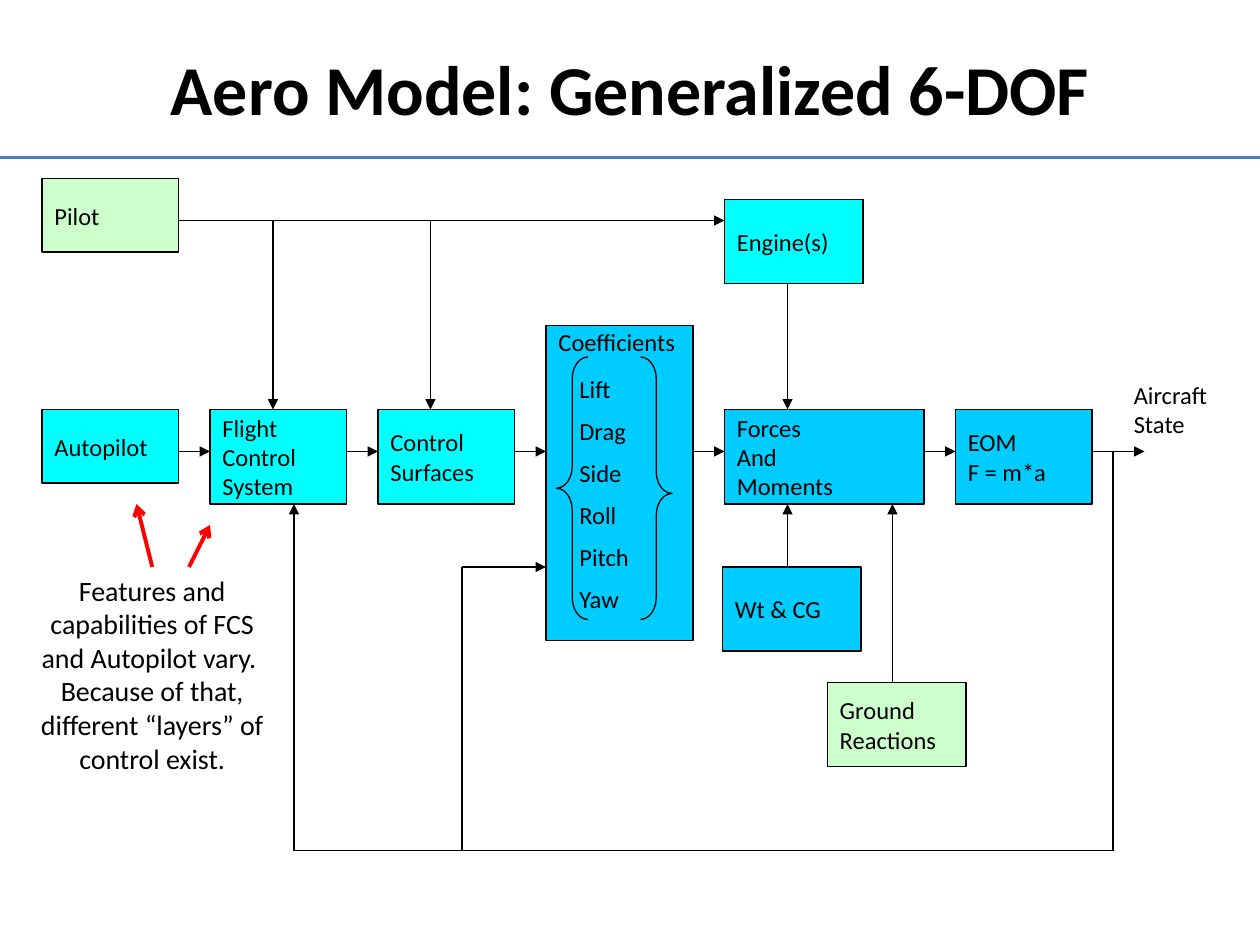
from dataclasses import dataclass

from lxml.etree import SubElement
from pptx import Presentation
from pptx.dml.color import RGBColor
from pptx.enum.shapes import MSO_CONNECTOR as Line, MSO_SHAPE as Preset
from pptx.enum.text import MSO_ANCHOR as Anchor, MSO_AUTO_SIZE as AutoSize, PP_ALIGN as Align
from pptx.oxml.ns import qn
from pptx.util import Cm, Pt


@dataclass(frozen=True)
class Theme:
    """Colours, type sizes and line widths of the slide."""
    font: str = "Calibri"
    ink: str = "000000"
    rule: str = "4B7EBC"
    accent: str = "FF0000"
    external: str = "CCFFCC"
    control: str = "00FFFF"
    physics: str = "00CCFF"
    title_size: int = 40
    note_size: int = 16
    label_size: int = 14
    thin: float = 0.75
    thick: float = 2.25


@dataclass(frozen=True)
class Box:
    """A region measured in grid cells."""
    x: float
    y: float
    w: float
    h: float

    def inner(self, x, y, w, h):
        """Return a box placed relative to this one."""
        return Box(self.x + x, self.y + y, w, h)

    def frame(self):
        """Return left, top, width and height as lengths."""
        return [cells(n) for n in (self.x, self.y, self.w, self.h)]


THEME = Theme()
CELLS_PER_INCH = 12


def cells(count):
    """Convert grid cells to a length."""
    return Cm(count * 2.54 / CELLS_PER_INCH)


def rgb(colour):
    """Convert a hex string to a colour."""
    return RGBColor.from_string(colour)


def write(shape, lines, size=THEME.label_size, bold=False, align=Align.LEFT, wrap=False):
    """Write one paragraph per line, centred vertically."""
    frame = shape.text_frame
    frame.word_wrap = wrap
    frame.vertical_anchor = Anchor.MIDDLE
    for index, line in enumerate(lines):
        paragraph = frame.add_paragraph() if index else frame.paragraphs[0]
        paragraph.alignment = align
        run = paragraph.add_run()
        run.text = line
        run.font.name = THEME.font
        run.font.size = Pt(size)
        run.font.bold = bold
        run.font.color.rgb = rgb(THEME.ink)


def label(slide, box, *lines, **style):
    """Add a text box."""
    caption = slide.shapes.add_textbox(*box.frame())
    write(caption, lines, **style)
    return caption


def outline(slide, preset, box):
    """Add an unfilled preset shape with a thin line."""
    shape = slide.shapes.add_shape(preset, *box.frame())
    shape.shadow.inherit = False
    shape.fill.background()
    shape.line.color.rgb = rgb(THEME.ink)
    shape.line.width = Pt(THEME.thin)
    return shape


def block(slide, box, fill, *lines):
    """Add a filled diagram block with its name."""
    shape = outline(slide, Preset.RECTANGLE, box)
    shape.fill.solid()
    shape.fill.fore_color.rgb = rgb(fill)
    write(shape, lines)


def connect(slide, box, start, end, head="triangle", colour=THEME.ink, width=THEME.thin):
    """Draw a line between two points of a box, with an optional arrowhead."""
    points = [cells(n) for x, y in (start, end) for n in (box.x + x, box.y + y)]
    line = slide.shapes.add_connector(Line.STRAIGHT, *points)
    line.line.color.rgb = rgb(colour)
    line.line.width = Pt(width)
    properties = line._element.spPr
    if head:
        SubElement(properties.find(qn("a:ln")), qn("a:tailEnd"), type=head)
    SubElement(properties, qn("a:effectLst"))


def header(slide, box):
    """Place the title and the rule beneath it."""
    connect(slide, box, (0, box.h), (box.w, box.h), None, THEME.rule, THEME.thick)
    label(slide, box.inner(6, 3.6, box.w - 12, 9.4), "Aero Model: Generalized 6-DOF",
          size=THEME.title_size, bold=True, align=Align.CENTER, wrap=True)


def coefficients(slide, box):
    """Place the coefficient block with its braced list."""
    block(slide, box.inner(0, 1, box.w, box.h - 1), THEME.physics)
    label(slide, box.inner(0, 0, box.w, 5), "Coefficients")
    for preset, x, middle in ((Preset.LEFT_BRACE, 1, 0.5), (Preset.RIGHT_BRACE, 9, 0.52)):
        brace = outline(slide, preset, box.inner(x, 4, 3, 25))
        brace.adjustments[0] = 0.69
        brace.adjustments[1] = middle
    for row, name in enumerate(("Lift", "Drag", "Side", "Roll", "Pitch", "Yaw")):
        label(slide, box.inner(2, 5 + 4 * row, 9, 4), name)


def pilot_inputs(slide, box):
    """Place pilot and engines with the arrows down to the main chain."""
    block(slide, box.inner(0, 0, 13, 7), THEME.external, "Pilot")
    block(slide, box.inner(65, 2, 13.2, 8), THEME.control, "Engine(s)")
    connect(slide, box, (13, 4), (65, 4))
    for x, y in ((22, 4), (37, 4), (71, 10)):
        connect(slide, box, (x, y), (x, box.h))


def main_chain(slide, box):
    """Place the row from autopilot to aircraft state."""
    stages = (
        (0, 13, 7, THEME.control, ("Autopilot",)),
        (16, 13, 9, THEME.control, ("Flight", "Control", "System")),
        (32, 13, 9, THEME.control, ("Control", "Surfaces")),
        (65, 19, 9, THEME.physics, ("Forces", "And", "Moments")),
        (87, 13, 9, THEME.physics, ("EOM", "F = m*a")),
    )
    for x, width, height, fill, lines in stages:
        block(slide, box.inner(x, 0, width, height), fill, *lines)
    for start, end in ((13, 16), (29, 32), (45, 48), (62, 65), (84, 87), (100, 105)):
        connect(slide, box, (start, 4), (end, 4))
    label(slide, box.inner(102.8, -3, 13.2, 6), "Aircraft", "State")


def load_sources(slide, box):
    """Place weight and ground reactions with arrows up to the forces."""
    block(slide, box.inner(0, 6, 13.2, 8), THEME.physics, "Wt & CG")
    block(slide, box.inner(10, 17, 13.2, 8), THEME.external, "Ground", "Reactions")
    for x, y in ((6.2, 6), (16.2, 17)):
        connect(slide, box, (x, y), (x, 0))


def feedback(slide, box):
    """Route the aircraft state back to control system and coefficients."""
    connect(slide, box, (box.w, 0), (box.w, box.h), None)
    connect(slide, box, (box.w, box.h), (0, box.h), None)
    connect(slide, box, (0, box.h), (0, 5))
    connect(slide, box, (16, box.h), (16, 11), None)
    connect(slide, box, (16, 11), (24, 11))


def layers_note(slide, box):
    """Place the remark on control layers with its two pointers."""
    for start, end in (((12.5, 6), (11, 0)), ((16, 6), (18, 2))):
        connect(slide, box, start, end, "arrow", THEME.accent, THEME.thick)
    note = label(
        slide, box.inner(0, 6, box.w, box.h - 6),
        "Features and capabilities of FCS and Autopilot vary.  "
        "Because of that, different “layers” of control exist.",
        size=THEME.note_size, align=Align.CENTER, wrap=True)
    note.text_frame.vertical_anchor = Anchor.TOP
    note.text_frame.auto_size = AutoSize.SHAPE_TO_FIT_TEXT


def main():
    """Build and save the slide."""
    deck = Presentation()
    deck.slide_width, deck.slide_height = Cm(25.4), Cm(19.05)
    slide = deck.slides.add_slide(deck.slide_layouts[6])
    header(slide, Box(0, 0, 120, 15))
    coefficients(slide, Box(52, 30, 14, 31))
    pilot_inputs(slide, Box(4, 17, 78.2, 22))
    main_chain(slide, Box(4, 39, 116, 9))
    load_sources(slide, Box(68.8, 48, 23.2, 25))
    feedback(slide, Box(28, 43, 78, 38))
    layers_note(slide, Box(2, 48, 25, 26.6))
    deck.save("out.pptx")


if __name__ == "__main__":
    main()
